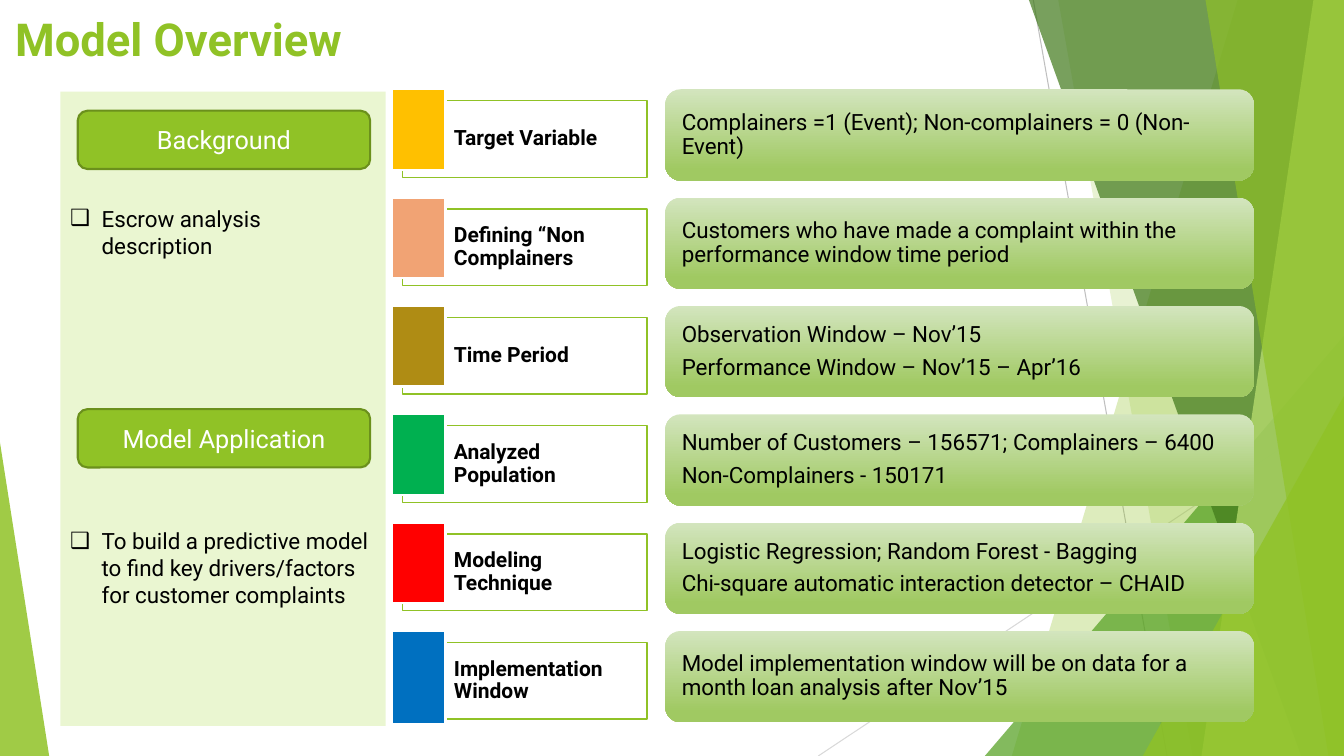
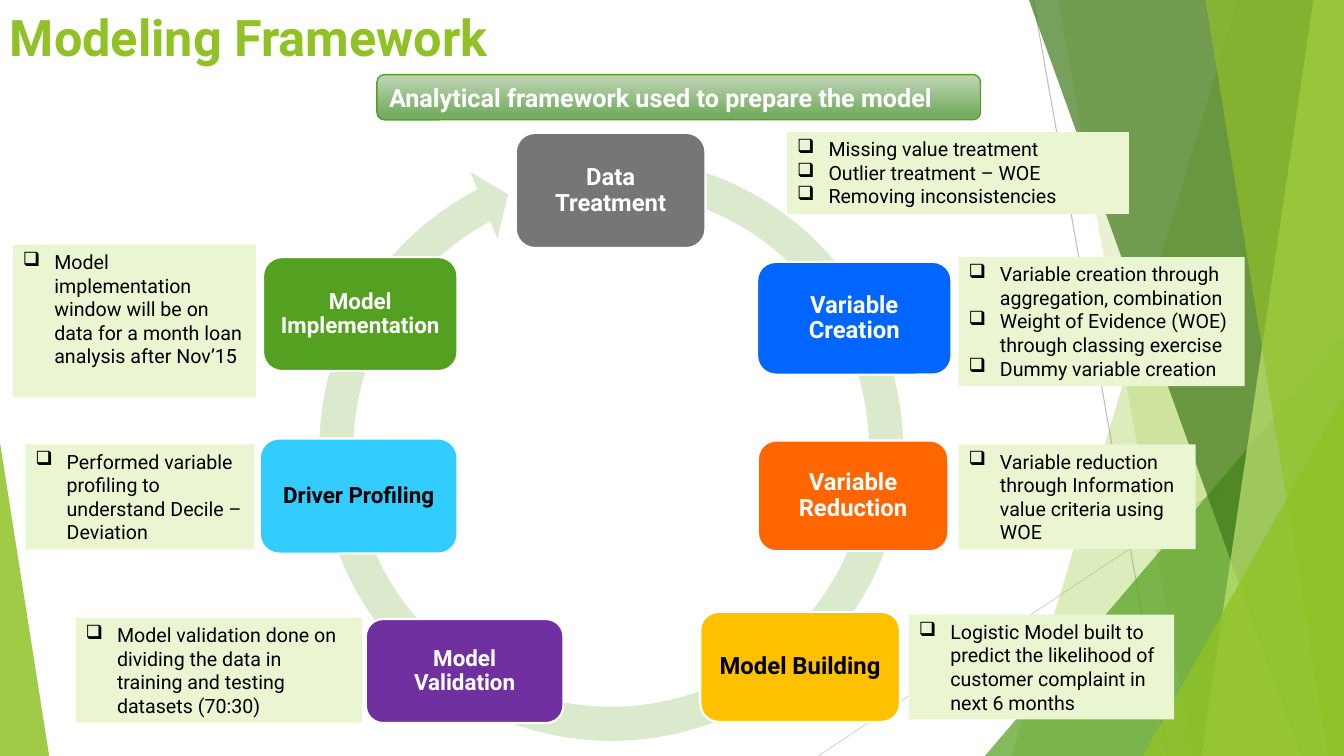
import lxml.etree
import pptx
import pptx.dml.color
import pptx.enum.shapes
import pptx.enum.text
import pptx.oxml.ns
import pptx.util

Cm = pptx.util.Cm
Pt = pptx.util.Pt
qn = pptx.oxml.ns.qn
SHAPES = pptx.enum.shapes.MSO_SHAPE
ALIGN = pptx.enum.text.PP_ALIGN
ANCHOR = pptx.enum.text.MSO_ANCHOR

WIDTH, HEIGHT = 33.87, 19.05
FONT = "Roboto"
COLORS = {
    "white": "FFFFFF", "black": "000000", "lime": "90C226", "olive": "6B901C",
    "leaf": "54A021", "forest": "3F7819", "pale lime": "C0E474", "mint": "EAF6D1",
    "ring": "DBE9CD", "line": "BFBFBF", "light line": "D9D9D9",
    "card top": "D3E5BE", "card bottom": "A0C962",
    "banner top": "C0D6B9", "banner bottom": "76AD61",
    "amber": "FFC000", "peach": "F1A374", "mustard": "AF8C14", "green": "00B050",
    "red": "FF0000", "blue": "0070C0", "gray": "767676", "bright blue": "0066FF",
    "orange": "FF6600", "purple": "7030A0", "sky": "33CCFF",
}


def rgb(name):
    return pptx.dml.color.RGBColor.from_string(COLORS[name])


class Deck:
    """Holds the shared style and the slide being filled."""

    def __init__(self):
        self.prs = pptx.Presentation()
        self.prs.slide_width, self.prs.slide_height = Cm(WIDTH), Cm(HEIGHT)
        self.slide = None

    def new_slide(self, layout, title, box, size):
        self.slide = self.prs.slides.add_slide(self.prs.slide_layouts[layout])
        heading = self.slide.shapes.title
        self.place(heading, box)
        self.set_text(heading, [title], size, "lime", bold=True)

    def place(self, shape, box):
        shape.left, shape.top, shape.width, shape.height = map(Cm, box)

    def paint(self, shape, fill, opacity=100, line=None, line_width=1):
        """Fill with one colour, or with a downward gradient for a pair."""
        shape.shadow.inherit = False
        if isinstance(fill, tuple):
            shape.fill.gradient()
            shape.fill.gradient_angle = 270
            for stop, color, position in zip(shape.fill.gradient_stops, fill, (0, 0.88)):
                stop.color.rgb = rgb(color)
                stop.position = position
        else:
            shape.fill.solid()
            shape.fill.fore_color.rgb = rgb(fill)
        if opacity < 100:
            color = shape.element.spPr.find(qn("a:solidFill")).find(qn("a:srgbClr"))
            lxml.etree.SubElement(color, qn("a:alpha"), val=str(opacity * 1000))
        if line:
            shape.line.color.rgb = rgb(line)
            shape.line.width = Pt(line_width)
        else:
            shape.line.fill.background()

    def set_text(self, shape, texts, size, color="black", bold=False, align=ALIGN.LEFT,
                 anchor=ANCHOR.MIDDLE, insets=(0.25, 0.13, 0.25, 0.13),
                 spacing=1.0, gap=0, bullet=False):
        """Set paragraphs; gap is the space in points between them."""
        frame = shape.text_frame
        frame.word_wrap = True
        frame.auto_size = pptx.enum.text.MSO_AUTO_SIZE.NONE
        frame.vertical_anchor = anchor
        (frame.margin_left, frame.margin_top,
         frame.margin_right, frame.margin_bottom) = map(Cm, insets)
        frame.text = "\n".join(texts)
        for index, paragraph in enumerate(frame.paragraphs):
            paragraph.alignment = align
            paragraph.line_spacing = spacing
            paragraph.space_before = Pt(gap if index else 0)
            paragraph.space_after = Pt(0)
            if bullet:
                props = paragraph._p.get_or_add_pPr()
                props.set("marL", str(Cm(0.79)))
                props.set("indent", str(Cm(-0.79)))
                lxml.etree.SubElement(props, qn("a:buChar"), char="❑")
            font = paragraph.font
            font.name, font.size, font.bold = FONT, Pt(size), bold
            font.color.rgb = rgb(color)

    def shape(self, kind, box, fill, **style):
        shape = self.slide.shapes.add_shape(kind, *map(Cm, box))
        self.paint(shape, fill, **style)
        return shape

    def slant(self, top_x, bottom_x, fill, opacity):
        """Full-height area from a slanted edge to the right side of the slide."""
        builder = self.slide.shapes.build_freeform(Cm(top_x), 0)
        corners = [(WIDTH, 0), (WIDTH, HEIGHT), (bottom_x, HEIGHT)]
        builder.add_line_segments([(Cm(x), Cm(y)) for x, y in corners], close=True)
        area = builder.convert_to_shape()
        self.paint(area, fill, opacity)
        return area

    def wedge(self, left, top, width, apex, fill, opacity):
        """Triangle standing on the bottom edge; apex 0 is left, 1 is right."""
        box = (left, top, width, HEIGHT - top)
        triangle = self.shape(SHAPES.ISOSCELES_TRIANGLE, box, fill, opacity=opacity)
        triangle.adjustments[0] = apex
        return triangle

    def hairline(self, start, end, color):
        line = self.slide.shapes.add_connector(
            pptx.enum.shapes.MSO_CONNECTOR.STRAIGHT, *map(Cm, start + end))
        line.line.color.rgb = rgb(color)
        line.line.width = Pt(0.75)
        lxml.etree.SubElement(line.element.spPr, qn("a:effectLst"))
        return line

    def decorate_master(self):
        """Draw the side facets and move them to the slide master."""
        facets = [
            self.hairline((26.04, 0), (29.41, HEIGHT), "line"),
            self.hairline((WIDTH, 10.24), (20.62, HEIGHT), "light line"),
            self.slant(31.19, 25.5, "lime", 30),
            self.slant(26.67, 30.05, "lime", 20),
            self.wedge(24.82, 8.46, 9.05, 1, "leaf", 72),
            self.slant(25.93, 32.79, "forest", 70),
            self.slant(33.1, 30.28, "pale lime", 70),
            self.slant(30.38, 33.48, "lime", 65),
            self.wedge(28.8, 9.98, 5.07, 1, "lime", 80),
            self.wedge(0, 11.15, 1.24, 0, "lime", 85),
        ]
        tree = self.prs.slide_master.shapes.element
        for index, facet in enumerate(facets, start=2):
            tree.insert(index, facet.element)

    def side_list(self, box, items, top_inset, gap):
        panel = self.slide.placeholders[1]
        self.place(panel, box)
        self.paint(panel, "mint")
        self.set_text(panel, items, 16, anchor=ANCHOR.TOP, gap=gap, bullet=True,
                      insets=(0.25, top_inset, 0.25, 0.13))

    def button(self, top, text):
        button = self.shape(SHAPES.ROUNDED_RECTANGLE, (1.96, top, 7.37, 1.47), "lime",
                            line="olive", line_width=1.5)
        self.set_text(button, [text], 18, "white", align=ALIGN.CENTER)

    def fact_row(self, top, label, color, facts, swatch_height):
        tag = self.shape(SHAPES.RECTANGLE, (10.14, top + 0.29, 6.17, 1.93), "white",
                         opacity=40, line="lime")
        self.set_text(tag, [label], 15, bold=True, spacing=0.9,
                      insets=(1.3, 0.15, 0.15, 0.15))
        self.shape(SHAPES.RECTANGLE, (9.88, top, 1.35, swatch_height), color,
                   line="white", line_width=1.5)
        card = self.shape(SHAPES.ROUNDED_RECTANGLE, (16.77, top, 14.83, 2.3),
                          ("card top", "card bottom"))
        self.set_text(card, facts, 16, spacing=0.9, gap=6, insets=(0.3,) * 4)

    def cycle_ring(self, left, top, diameter):
        ring = self.shape(SHAPES.CIRCULAR_ARROW, (left, top, diameter, diameter), "ring")
        bends = (0.86 / diameter, 3.31, 145.44, 169.34, 0.91 / diameter)
        for index, bend in enumerate(bends):
            ring.adjustments[index] = bend

    def banner(self, box, text):
        banner = self.shape(SHAPES.ROUNDED_RECTANGLE, box,
                            ("banner top", "banner bottom"), line="leaf")
        self.set_text(banner, [text], 18, "white", bold=True)

    def step(self, box, text, fill, color, size):
        step = self.shape(SHAPES.ROUNDED_RECTANGLE, box, fill,
                          line="white", line_width=1.5)
        self.set_text(step, [text], size, color, bold=True, align=ALIGN.CENTER,
                      spacing=0.9, insets=(0.25,) * 4)

    def note(self, box, items):
        note = self.shape(SHAPES.RECTANGLE, box, "mint")
        self.set_text(note, items, 14, anchor=ANCHOR.TOP, bullet=True)


FACTS = [
    ("Target Variable", "amber",
     ["Complainers =1 (Event); Non-complainers = 0 (Non-Event)"]),
    ("Defining “Non Complainers", "peach",
     ["Customers who have made a complaint within the performance window time period"]),
    ("Time Period", "mustard",
     ["Observation Window – Nov’15", "Performance Window – Nov’15 – Apr’16"]),
    ("Analyzed Population", "green",
     ["Number of Customers – 156571; Complainers – 6400", "Non-Complainers - 150171"]),
    ("Modeling Technique", "red",
     ["Logistic Regression; Random Forest - Bagging",
      "Chi-square automatic interaction detector – CHAID"]),
    ("Implementation Window", "blue",
     ["Model implementation window will be on data for a month loan analysis after Nov’15"]),
]

# step box, name, fill, text colour, text size, note box, note items
STEPS = [
    ((13, 3.35, 4.78, 2.9), "Data Treatment", "gray", "white", 17,
     (19.84, 3.33, 8.61, 2.06),
     ["Missing value treatment", "Outlier treatment – WOE", "Removing inconsistencies"]),
    ((19.08, 6.6, 4.9, 2.84), "Variable Creation", "bright blue", "white", 17,
     (24.16, 6.48, 7.21, 3.25),
     ["Variable creation through aggregation, combination",
      "Weight of Evidence (WOE) through classing exercise", "Dummy variable creation"]),
    ((19.1, 11.1, 4.8, 2.79), "Variable Reduction", "orange", "white", 17,
     (24.16, 11.2, 5.97, 2.64),
     ["Variable reduction through Information value criteria using WOE"]),
    ((17.65, 15.42, 5.03, 2.77), "Model Building", "amber", "black", 17,
     (22.91, 15.49, 6.68, 2.64),
     ["Logistic Model built to predict the likelihood of customer complaint in next 6 months"]),
    ((9.22, 15.6, 4.98, 2.62), "Model Validation", "purple", "white", 16,
     (1.91, 15.57, 7.21, 2.64),
     ["Model validation done on dividing the data in training and testing datasets (70:30)"]),
    ((6.55, 11.05, 4.98, 2.9), "Driver Profiling", "sky", "black", 16,
     (0.64, 11.2, 5.77, 2.64),
     ["Performed variable profiling to understand Decile – Deviation"]),
    ((6.63, 6.48, 4.9, 2.87), "Model Implementation", "leaf", "white", 16,
     (0.33, 6.17, 6.12, 3.84),
     ["Model implementation window will be on data for a month loan analysis after Nov’15"]),
]


def build_overview(deck):
    deck.new_slide(1, "Model Overview", (0.13, 0.1, 25.55, 1.75), 32.4)
    deck.decorate_master()
    deck.side_list((1.52, 2.31, 8.2, 15.98),
                   ["Escrow analysis description",
                    "To build a predictive model to find key drivers/factors "
                    "for customer complaints"], top_inset=2.85, gap=192)
    deck.button(2.79, "Background")
    deck.button(10.31, "Model Application")
    for index, (label, color, facts) in enumerate(FACTS):
        swatch_height = 2.34 if index == len(FACTS) - 1 else 2.03
        deck.fact_row(2.25 + 2.73 * index, label, color, facts, swatch_height)


def build_framework(deck):
    deck.new_slide(5, "Modeling Framework", (0, 0, 25.76, 1.85), 36)
    deck.cycle_ring(7.57, 3.48, 15.67)
    deck.banner((9.5, 1.88, 15.21, 1.14), "Analytical framework used to prepare the model")
    for *step, note_box, note_items in STEPS:
        deck.step(*step)
        deck.note(note_box, note_items)


def main():
    deck = Deck()
    build_overview(deck)
    build_framework(deck)
    deck.prs.save("out.pptx")


if __name__ == "__main__":
    main()
